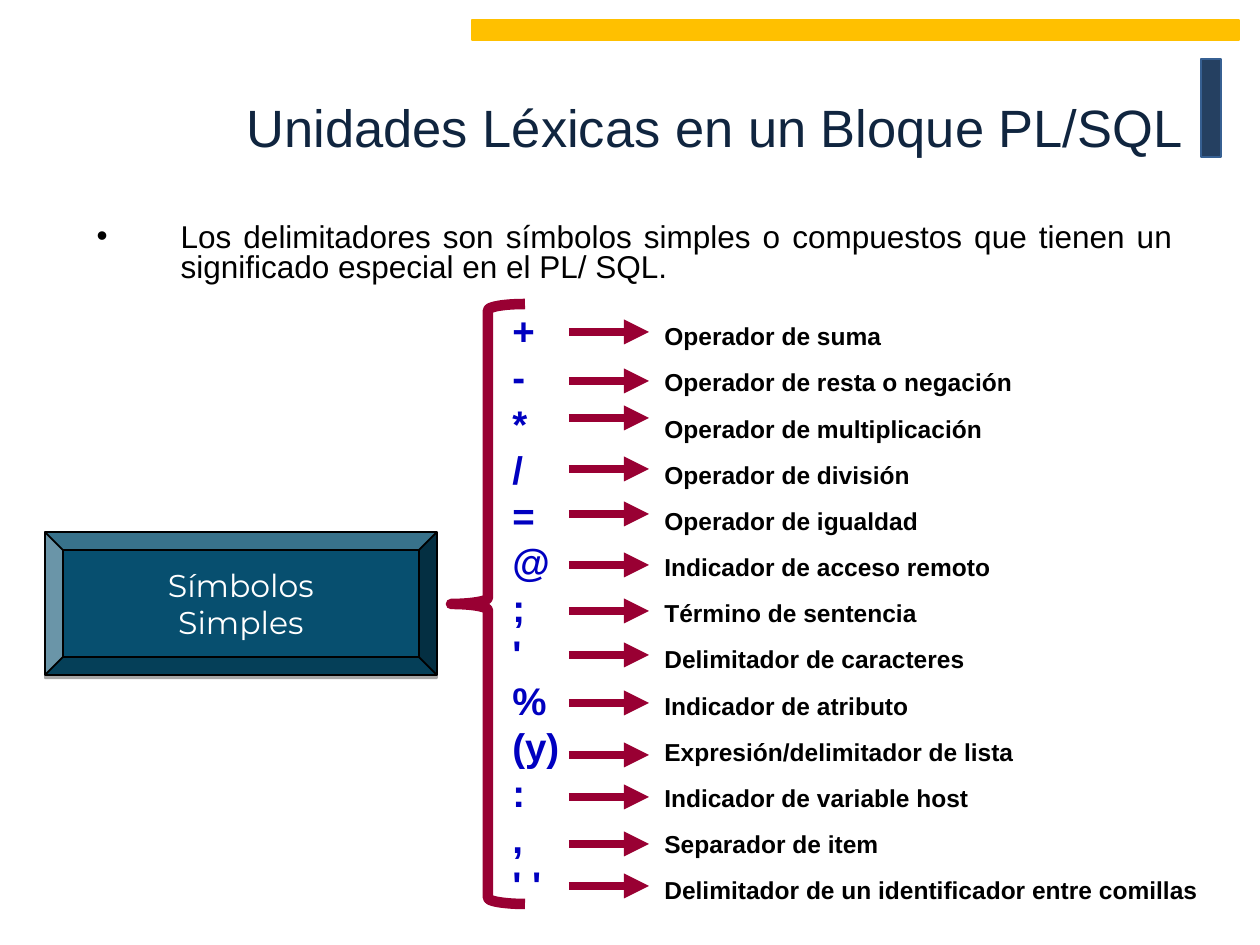
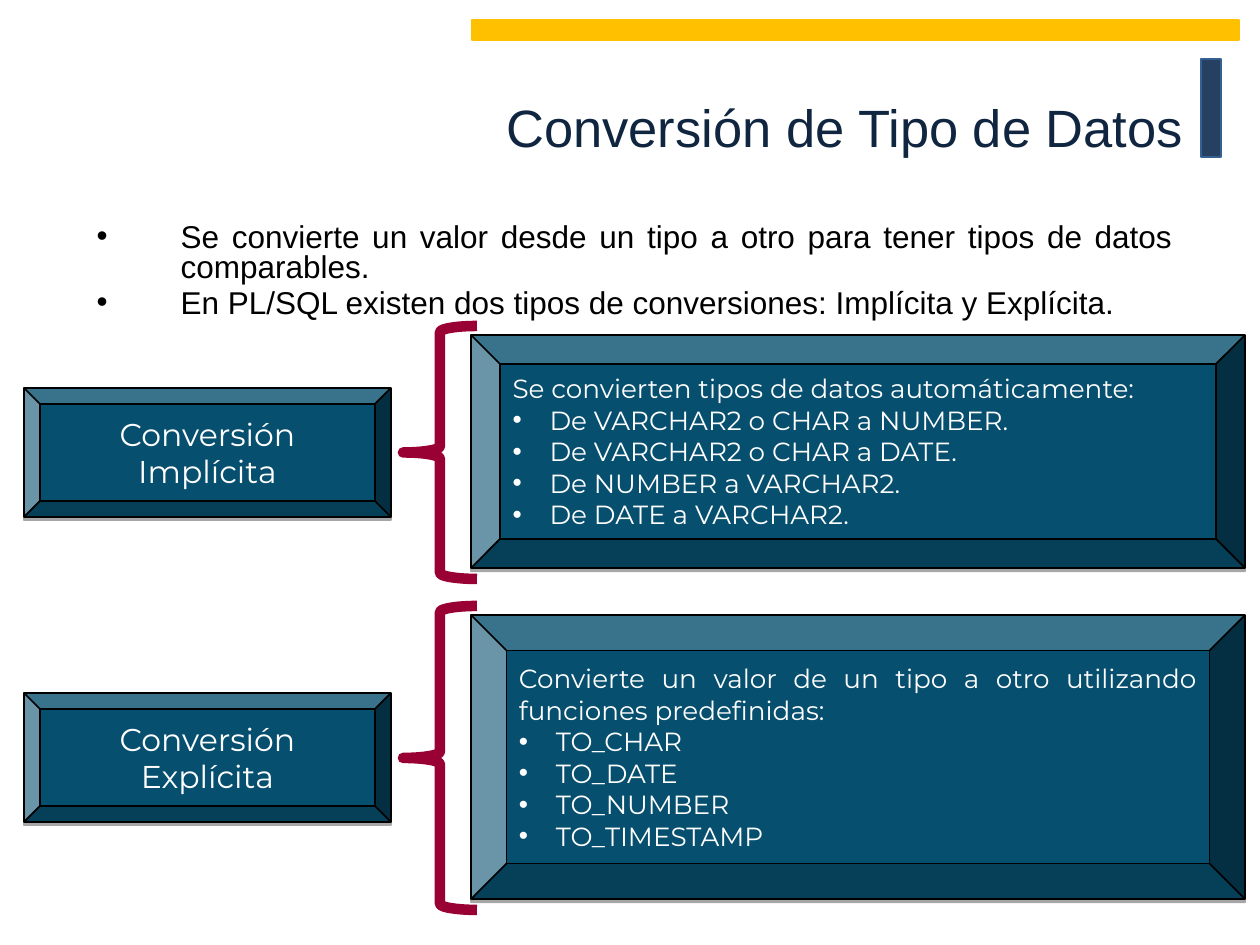
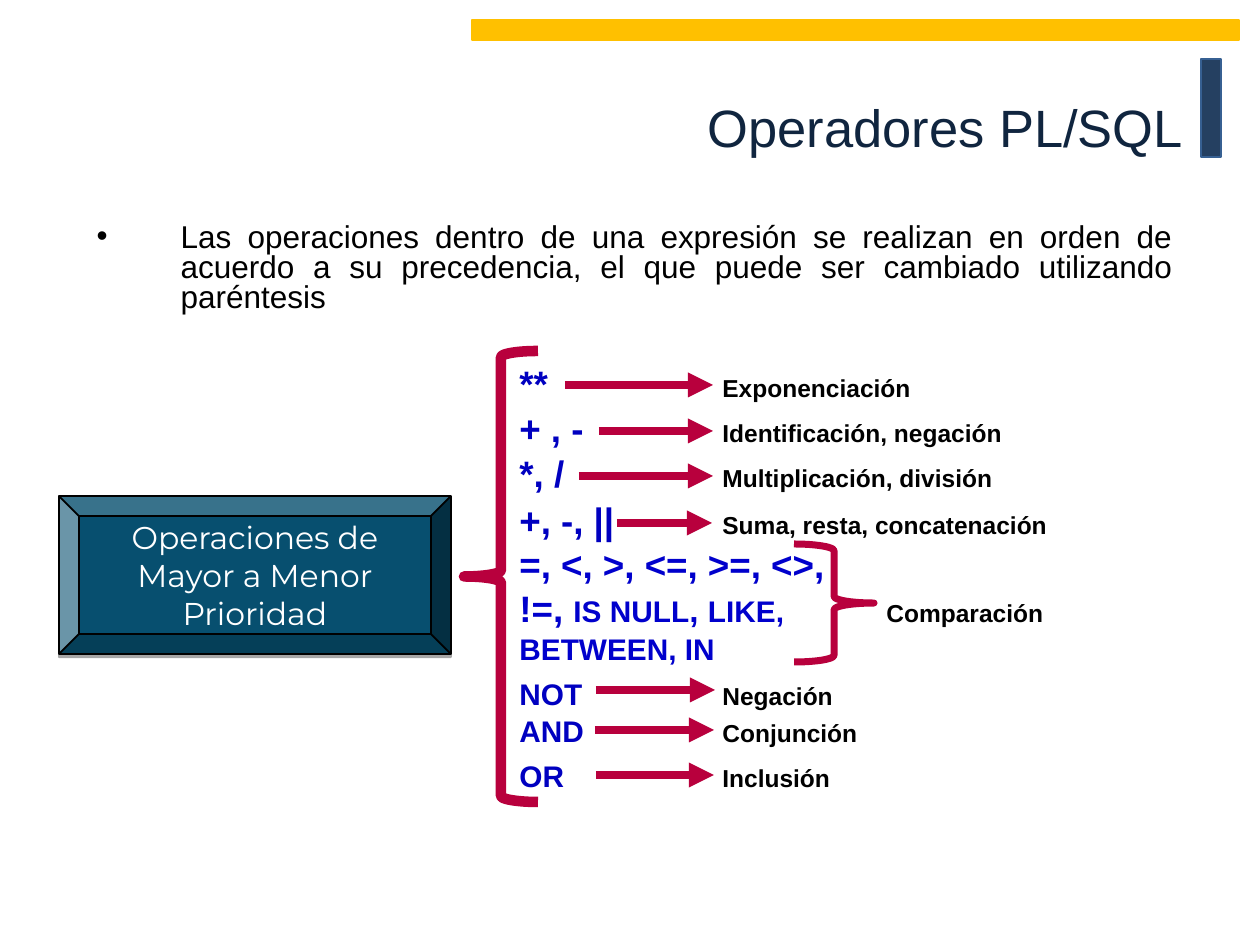
import pptx
import pptx.util
from lxml import etree
from pptx.dml.color import RGBColor
from pptx.enum.shapes import MSO_CONNECTOR, MSO_SHAPE
from pptx.enum.text import MSO_ANCHOR, MSO_AUTO_SIZE, PP_ALIGN
from pptx.oxml.ns import qn

Pt = pptx.util.Pt
PX_PER_INCH = 126

WHITE = RGBColor(0xFF, 0xFF, 0xFF)
BLACK = RGBColor(0, 0, 0)
TITLE_NAVY = RGBColor(0x10, 0x25, 0x3F)
BAR_NAVY = RGBColor(0x25, 0x40, 0x61)
BAR_EDGE = RGBColor(0x37, 0x60, 0x92)
GOLD = RGBColor(0xFF, 0xC0, 0x00)
TEAL = RGBColor(0x07, 0x4F, 0x6F)
MAROON = RGBColor(0x99, 0x00, 0x33)
CRIMSON = RGBColor(0xB8, 0x00, 0x3D)
SYMBOL_BLUE = RGBColor(0x00, 0x00, 0xC0)
COMPARISON_BLUE = RGBColor(0x00, 0x00, 0xCC)

TITLE_BOX = (122, 26, 1074, 202)
BODY_BOX = (84, 214, 1101, 57)
BANDS = [
    ((1201, 59, 20, 98), BAR_NAVY, BAR_EDGE),
    ((472, 20, 767, 20), GOLD, GOLD),
]

DELIMITERS = {
    "title": "Unidades Léxicas en un Bloque PL/SQL",
    "points": ["Los delimitadores son símbolos simples o compuestos que tienen un "
               "significado especial en el PL/ SQL."],
    "label": ["Símbolos", "Simples"],
}
# symbol, meaning, height of its arrow on the slide
SIMPLE_SYMBOLS = [
    ("+", "Operador de suma", 332),
    ("-", "Operador de resta o negación", 381),
    ("*", "Operador de multiplicación", 418),
    ("/", "Operador de división", 469),
    ("=", "Operador de igualdad", 514),
    ("@", "Indicador de acceso remoto", 565),
    (";", "Término de sentencia", 611),
    ("'", "Delimitador de caracteres", 655),
    ("%", "Indicador de atributo", 703),
    ("(y)", "Expresión/delimitador de lista", 755),
    (":", "Indicador de variable host", 797),
    (",", "Separador de item", 844),
    ("' '", "Delimitador de un identificador entre comillas", 886),
]

CONVERSION = {
    "title": "Conversión de Tipo de Datos",
    "points": ["Se convierte un valor desde un tipo a otro para tener tipos de datos "
               "comparables.",
               "En PL/SQL existen dos tipos de conversiones: Implícita y Explícita."],
}
CONVERSION_KINDS = [
    {"label": ["Conversión", "Implícita"], "label_top": 388,
     "intro": "Se convierten tipos de datos automáticamente:", "align": PP_ALIGN.LEFT,
     "items": ["De VARCHAR2 o CHAR a NUMBER.", "De VARCHAR2 o CHAR a DATE.",
               "De NUMBER a VARCHAR2.", "De DATE a VARCHAR2."],
     "top": 335, "height": 233},
    {"label": ["Conversión", "Explícita"], "label_top": 693,
     "intro": "Convierte un valor de un tipo a otro utilizando funciones predefinidas:",
     "align": PP_ALIGN.JUSTIFY,
     "items": ["TO_CHAR", "TO_DATE", "TO_NUMBER", "TO_TIMESTAMP"],
     "top": 615, "height": 284},
]

OPERATORS = {
    "title": "Operadores PL/SQL",
    "points": ["Las operaciones dentro de una expresión se realizan en orden de acuerdo "
               "a su precedencia, el que puede ser cambiado utilizando paréntesis"],
    "label": ["Operaciones de Mayor a Menor Prioridad"],
}
# line height, operators as (text, size), meaning, arrow as (start, end, height)
PRECEDENCE = [
    (46, [("**", 21)], "Exponenciación", (565, 713, 385)),
    (45, [("+ , -", 21)], "Identificación, negación", (599, 713, 431)),
    (45, [("*, /", 21)], "Multiplicación, división", (579, 713, 476)),
    (47, [("+, -, ||", 21)], "Suma, resta, concatenación", (617, 712, 523)),
    (44, [("=, <, >, <=, >=, <>,", 21)], None, None),
    (44, [("!=, ", 21), ("IS NULL", 17), (", ", 19), ("LIKE,", 17)], "Comparación", None),
    (36, [("BETWEEN, IN", 17)], None, None),
    (45, [("NOT", 17)], "Negación", (596, 715, 690)),
    (37, [("AND", 17)], "Conjunción", (595, 714, 730)),
    (45, [("OR", 17)], "Inclusión", (596, 714, 775)),
]


def px(length):
    return round(length * 914400 / PX_PER_INCH)


def place(shape, box):
    shape.left, shape.top, shape.width, shape.height = map(px, box)


def add_xml(parent, tag, **attributes):
    return etree.SubElement(parent, qn(tag), attributes)


def add_run(paragraph, text, size, color, font="Arial", bold=False):
    run = paragraph.add_run()
    run.text = text
    run.font.name = font
    run.font.size = Pt(size)
    run.font.bold = bold
    run.font.color.rgb = color


def next_paragraph(frame, first):
    return frame.paragraphs[0] if first else frame.add_paragraph()


def set_bullet(paragraph, indent):
    properties = paragraph._p.get_or_add_pPr()
    properties.set("marL", str(px(indent)))
    properties.set("indent", str(-px(indent)))
    add_xml(properties, "a:buFont", typeface="Arial")
    add_xml(properties, "a:buChar", char="•")


def set_tab(paragraph, position):
    tabs = add_xml(paragraph._p.get_or_add_pPr(), "a:tabLst")
    add_xml(tabs, "a:tab", pos=str(px(position)), algn="l")


def add_preset(slide, preset, box, fill, edge, width):
    shape = slide.shapes.add_shape(preset, *map(px, box))
    shape.shadow.inherit = False
    if fill is None:
        shape.fill.background()
    else:
        shape.fill.solid()
        shape.fill.fore_color.rgb = fill
    shape.line.color.rgb = edge
    shape.line.width = Pt(width)
    return shape


def add_brace(slide, box, color, width=6):
    return add_preset(slide, MSO_SHAPE.LEFT_BRACE, box, None, color, width)


def add_bevel(slide, box):
    """Add a teal bevel with a thin shadow below and return its text frame."""
    bevel = add_preset(slide, MSO_SHAPE.BEVEL, box, TEAL, BLACK, 1)
    effects = bevel._element.spPr.find(qn("a:effectLst"))
    shadow = add_xml(effects, "a:outerShdw", blurRad="0", dist=str(Pt(1.8)),
                     dir="5400000", rotWithShape="0")
    add_xml(add_xml(shadow, "a:srgbClr", val="000000"), "a:alpha", val="35000")
    frame = bevel.text_frame
    frame.word_wrap = True
    frame.vertical_anchor = MSO_ANCHOR.MIDDLE
    return frame


def add_label(slide, lines, box):
    frame = add_bevel(slide, box)
    for number, line in enumerate(lines):
        paragraph = next_paragraph(frame, number == 0)
        paragraph.alignment = PP_ALIGN.CENTER
        add_run(paragraph, line, 18, WHITE, "Montserrat")


def add_arrow(slide, start, end, y, color):
    arrow = slide.shapes.add_connector(MSO_CONNECTOR.STRAIGHT,
                                       px(start), px(y), px(end), px(y))
    arrow.line.color.rgb = color
    arrow.line.width = Pt(4.75)
    add_xml(arrow.line._get_or_add_ln(), "a:tailEnd", type="triangle")
    add_xml(arrow._element.spPr, "a:effectLst")


def add_symbol_list(slide, box):
    panel = slide.shapes.add_textbox(*map(px, box))
    panel.fill.solid()
    panel.fill.fore_color.rgb = WHITE
    panel.text_frame.word_wrap = True
    return panel.text_frame


def add_symbol_row(paragraph, symbols, meaning, tab, height, color=SYMBOL_BLUE):
    if meaning:
        set_tab(paragraph, tab)
    paragraph.line_spacing = Pt(height * 72 / PX_PER_INCH)
    for text, size in symbols:
        add_run(paragraph, text, size, color, bold=True)
    if meaning:
        add_run(paragraph, "\t" + meaning, 14, BLACK, bold=True)


def prepare_layout(layout):
    for placeholder in layout.placeholders:
        if placeholder.placeholder_format.idx == 0:
            place(placeholder, TITLE_BOX)
        elif placeholder.placeholder_format.idx == 1:
            place(placeholder, BODY_BOX)


def add_bands(slide, layout):
    """Draw the bands and hand them to the layout, so every slide shows them."""
    for box, fill, edge in BANDS:
        band = add_preset(slide, MSO_SHAPE.RECTANGLE, box, fill, edge, 0.75)
        layout.shapes.element.append(band.element)


def add_slide(deck, layout, content):
    slide = deck.slides.add_slide(layout)
    title = slide.shapes.title.text_frame
    title.vertical_anchor = MSO_ANCHOR.MIDDLE
    title.paragraphs[0].alignment = PP_ALIGN.RIGHT
    add_run(title.paragraphs[0], content["title"], 30, TITLE_NAVY)

    body = slide.placeholders[1].text_frame
    body.auto_size = MSO_AUTO_SIZE.NONE
    body.margin_top = px(10)
    for number, point in enumerate(content["points"]):
        paragraph = next_paragraph(body, number == 0)
        set_bullet(paragraph, 84)
        paragraph.alignment = PP_ALIGN.JUSTIFY
        paragraph.line_spacing = 0.8
        paragraph.space_before = Pt(3.5 if number else 0)
        add_run(paragraph, point, 18, BLACK)
    return slide


def fill_delimiters(slide):
    add_label(slide, DELIMITERS["label"], (45, 532, 392, 143))
    frame = add_symbol_list(slide, (500, 301, 719, 619))
    for number, (symbol, meaning, arrow_y) in enumerate(SIMPLE_SYMBOLS):
        add_symbol_row(next_paragraph(frame, number == 0), [(symbol, 22)], meaning, 152, 46.2)
        add_arrow(slide, 569, 649, arrow_y, MAROON)
    add_brace(slide, (451, 304, 74, 600), MAROON)


def fill_conversion(slide):
    for kind in CONVERSION_KINDS:
        top, height = kind["top"], kind["height"]
        add_label(slide, kind["label"], (24, kind["label_top"], 367, 129))
        add_brace(slide, (403, top - 9, 74, height + 20), MAROON)
        frame = add_bevel(slide, (471, top, 774, height))
        intro = frame.paragraphs[0]
        intro.alignment = kind["align"]
        add_run(intro, kind["intro"], 15, WHITE, "Montserrat")
        for item in kind["items"]:
            paragraph = frame.add_paragraph()
            set_bullet(paragraph, 37)
            paragraph.alignment = PP_ALIGN.LEFT
            add_run(paragraph, item, 15, WHITE, "Montserrat")


def fill_operators(slide):
    add_label(slide, OPERATORS["label"], (59, 496, 392, 158))
    frame = add_symbol_list(slide, (507, 353, 636, 446))
    for number, (height, operators, meaning, arrow) in enumerate(PRECEDENCE):
        tab, color = (203, SYMBOL_BLUE) if arrow else (367, COMPARISON_BLUE)
        add_symbol_row(next_paragraph(frame, number == 0), operators, meaning,
                       tab, height, color)
        if arrow:
            add_arrow(slide, *arrow, CRIMSON)
    add_brace(slide, (464, 351, 74, 451), CRIMSON)
    add_brace(slide, (794, 544, 80, 118), CRIMSON, 4).rotation = 180


def main():
    deck = pptx.Presentation()
    deck.slide_width, deck.slide_height = px(1260), px(945)
    layout = deck.slide_layouts[1]
    prepare_layout(layout)
    pages = [(DELIMITERS, fill_delimiters), (CONVERSION, fill_conversion),
             (OPERATORS, fill_operators)]
    for content, fill_page in pages:
        fill_page(add_slide(deck, layout, content))
    add_bands(deck.slides[0], layout)
    deck.save("out.pptx")


if __name__ == "__main__":
    main()
